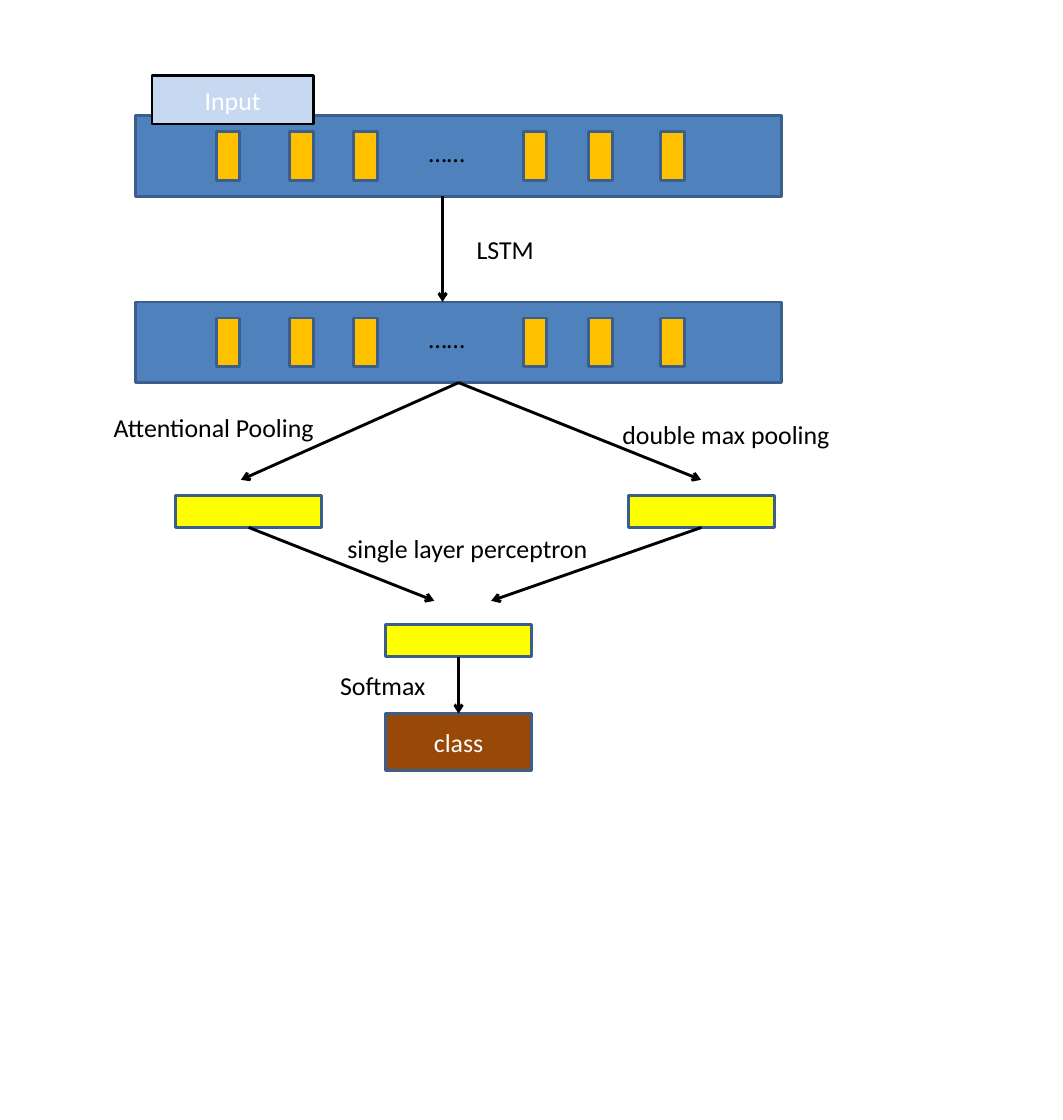
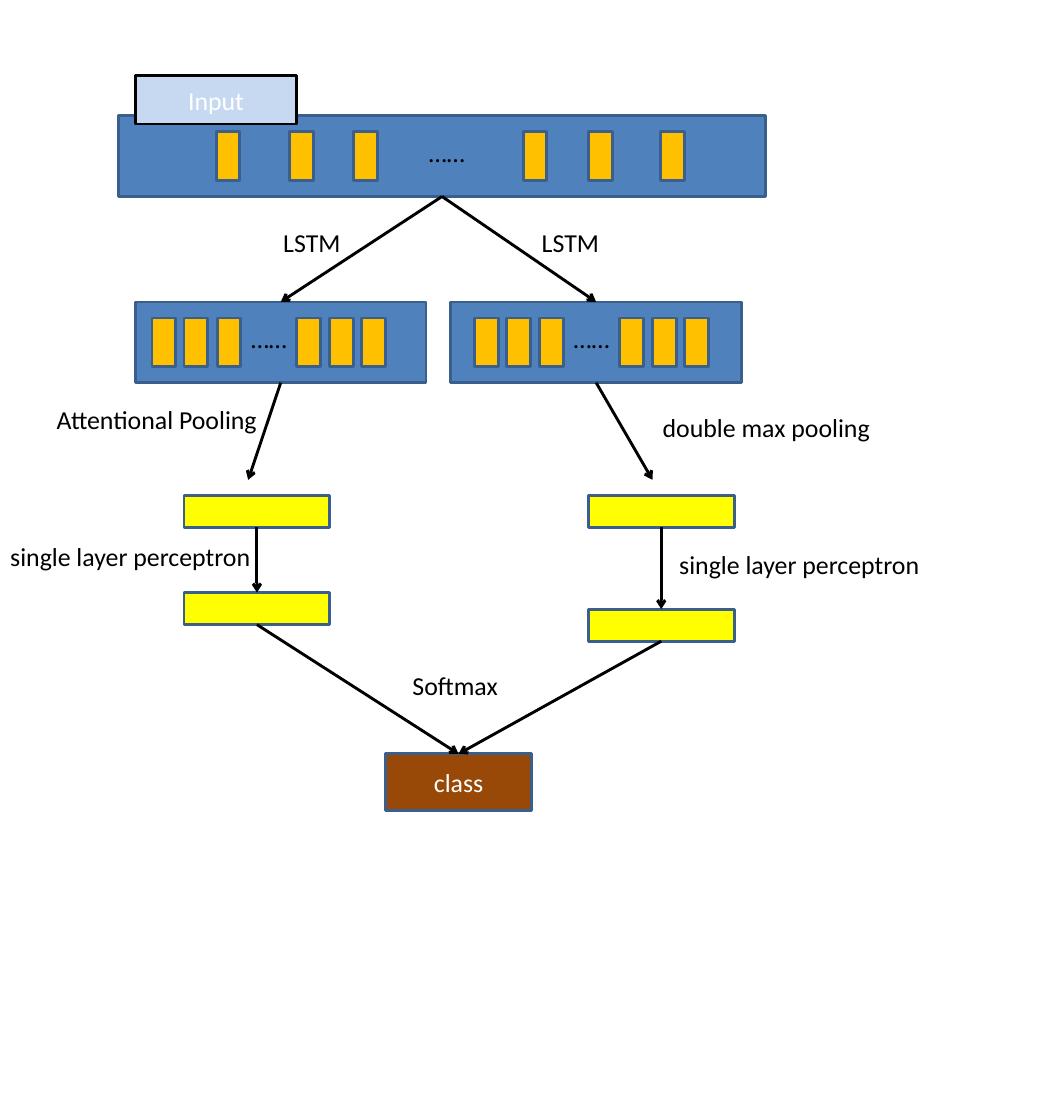
from lxml.etree import SubElement
from pptx import Presentation
from pptx.dml.color import RGBColor
from pptx.enum.shapes import MSO_CONNECTOR as Connector, MSO_SHAPE as Shape
from pptx.enum.text import MSO_ANCHOR as Anchor, MSO_AUTO_SIZE as AutoSize, PP_ALIGN as Align
from pptx.oxml.ns import qn
from pptx.util import Inches, Pt

# Shared style
FONT, TEXT_SIZE, LINE_WIDTH = "Calibri", 18, 2
BLACK, WHITE, OUTLINE, TOKEN_FILL = "000000", "FFFFFF", "3A5F8C", "FFC000"
TOKEN_SIZE = (0.23, 0.47)
TOKEN_INSET = 0.155  # from the top of a sequence bar to its tokens
DOTS_SIZE, LABEL_SIZE = (0.63, 0.4), (2.58, 0.4)
BOTTOM, TOP = 2, 0

# Box kinds: width, height, fill, outline
KINDS = {
    "wide bar": (6.25, 0.78, "4F81BD", OUTLINE),
    "narrow bar": (2.81, 0.78, "4F81BD", OUTLINE),
    "input": (1.56, 0.47, "C6D9F1", BLACK),
    "vector": (1.41, 0.31, "FFFF00", OUTLINE),
    "class": (1.41, 0.55, "984807", OUTLINE),
}

# Token rows: offsets of the tokens, offset of the dots
ROWS = {
    "wide": ([0, 0.71, 1.33, 2.97, 3.6, 4.3], 1.96),
    "narrow": ([0, 0.31, 0.63, 1.4, 1.72, 2.03], 0.86),
}

# boxes: name -> kind, left, top, text
# rows: row kind, left of the first token, name of the bar
# arrows: from and to, each a box name or a point
# labels: text, left, top
SLIDES = [
    {
        "boxes": {
            "words": ("wide bar", 1.31, 1.12, ""),
            "input": ("input", 1.47, 0.73, "Input"),
            "states": ("wide bar", 1.31, 2.92, ""),
            "attended": ("vector", 1.7, 4.79, ""),
            "pooled": ("vector", 6.08, 4.79, ""),
            "merged": ("vector", 3.73, 6.04, ""),
            "class": ("class", 3.73, 6.9, "class"),
        },
        "rows": [("wide", 2.09, "words"), ("wide", 2.09, "states")],
        "arrows": [
            ((4.28, 1.9), (4.28, 2.92)),
            ("states", (2.33, 4.64)),
            ("states", (6.78, 4.64)),
            ("attended", (4.2, 5.81)),
            ("pooled", (4.75, 5.81)),
            ("merged", "class"),
        ],
        "labels": [
            ("LSTM", 4.51, 2.21),
            ("Attentional Pooling", 1, 3.93),
            ("double max pooling", 5.92, 4),
            ("single layer perceptron", 3.26, 5.1),
            ("Softmax", 3.19, 6.43),
        ],
    },
    {
        "boxes": {
            "words": ("wide bar", 1.15, 1.12, ""),
            "input": ("input", 1.31, 0.73, "Input"),
            "left states": ("narrow bar", 1.31, 2.92, ""),
            "right states": ("narrow bar", 4.36, 2.92, ""),
            "attended": ("vector", 1.78, 4.79, ""),
            "pooled": ("vector", 5.69, 4.79, ""),
            "left output": ("vector", 1.78, 5.73, ""),
            "right output": ("vector", 5.69, 5.89, ""),
            "class": ("class", 3.73, 7.29, "class"),
        },
        "rows": [
            ("wide", 2.09, "words"),
            ("narrow", 1.47, "left states"),
            ("narrow", 4.59, "right states"),
        ],
        "arrows": [
            ("words", "left states"),
            ("words", "right states"),
            ("left states", (2.4, 4.64)),
            ("right states", (6.31, 4.64)),
            ("attended", "left output"),
            ("pooled", "right output"),
            ("left output", "class"),
            ("right output", "class"),
        ],
        "labels": [
            ("LSTM", 2.64, 2.14),
            ("LSTM", 5.14, 2.14),
            ("Attentional Pooling", 0.45, 3.85),
            ("double max pooling", 6.31, 3.93),
            ("single layer perceptron", 0, 5.18),
            ("single layer perceptron", 6.47, 5.26),
            ("Softmax", 3.89, 6.43),
        ],
    },
]


def rgb(value):
    return RGBColor.from_string(value)


def set_text(shape, text, color, align):
    paragraph = shape.text_frame.paragraphs[0]
    paragraph.text = text
    paragraph.alignment = align
    for run in paragraph.runs:
        run.font.name = FONT
        run.font.size = Pt(TEXT_SIZE)
        run.font.color.rgb = rgb(color)


def add_box(slide, left, top, width, height, fill, outline, text=""):
    shape = slide.shapes.add_shape(
        Shape.RECTANGLE, Inches(left), Inches(top), Inches(width), Inches(height))
    shape.shadow.inherit = False
    shape.fill.solid()
    shape.fill.fore_color.rgb = rgb(fill)
    shape.line.color.rgb = rgb(outline)
    shape.line.width = Pt(LINE_WIDTH)
    if text:
        shape.text_frame.vertical_anchor = Anchor.MIDDLE
        set_text(shape, text, WHITE, Align.CENTER)
    return shape


def add_label(slide, text, left, top, size=LABEL_SIZE):
    label = slide.shapes.add_textbox(
        Inches(left), Inches(top), Inches(size[0]), Inches(size[1]))
    label.text_frame.word_wrap = True
    label.text_frame.auto_size = AutoSize.SHAPE_TO_FIT_TEXT
    set_text(label, text, BLACK, Align.LEFT)


def add_row(slide, kind, left, top):
    offsets, dots_offset = ROWS[kind]
    for offset in offsets:
        add_box(slide, left + offset, top, *TOKEN_SIZE, TOKEN_FILL, OUTLINE)
    add_label(slide, "……", left + dots_offset, top, DOTS_SIZE)


def add_arrow(slide, start, end, shapes):
    arrow = slide.shapes.add_connector(Connector.STRAIGHT, 0, 0, 0, 0)
    if start in shapes:
        arrow.begin_connect(shapes[start], BOTTOM)
    else:
        arrow.begin_x, arrow.begin_y = map(Inches, start)
    if end in shapes:
        arrow.end_connect(shapes[end], TOP)
    else:
        arrow.end_x, arrow.end_y = map(Inches, end)
    arrow.line.color.rgb = rgb(BLACK)
    arrow.line.width = Pt(LINE_WIDTH)
    properties = arrow._element.spPr
    SubElement(properties.find(qn("a:ln")), qn("a:tailEnd"), type="arrow")
    SubElement(properties, qn("a:effectLst"))


def build_slide(presentation, content):
    slide = presentation.slides.add_slide(presentation.slide_layouts[6])
    # Bars, vectors and named boxes
    shapes = {}
    for name, (kind, left, top, text) in content["boxes"].items():
        shapes[name] = add_box(slide, left, top, *KINDS[kind], text)
    # Tokens inside the bars
    for kind, left, bar in content["rows"]:
        add_row(slide, kind, left, content["boxes"][bar][2] + TOKEN_INSET)
    # Flow and its labels
    for start, end in content["arrows"]:
        add_arrow(slide, start, end, shapes)
    for text, left, top in content["labels"]:
        add_label(slide, text, left, top)


def main():
    presentation = Presentation()
    presentation.slide_width = Inches(10.28)
    presentation.slide_height = Inches(10.83)
    for content in SLIDES:
        build_slide(presentation, content)
    presentation.save("out.pptx")


if __name__ == "__main__":
    main()
